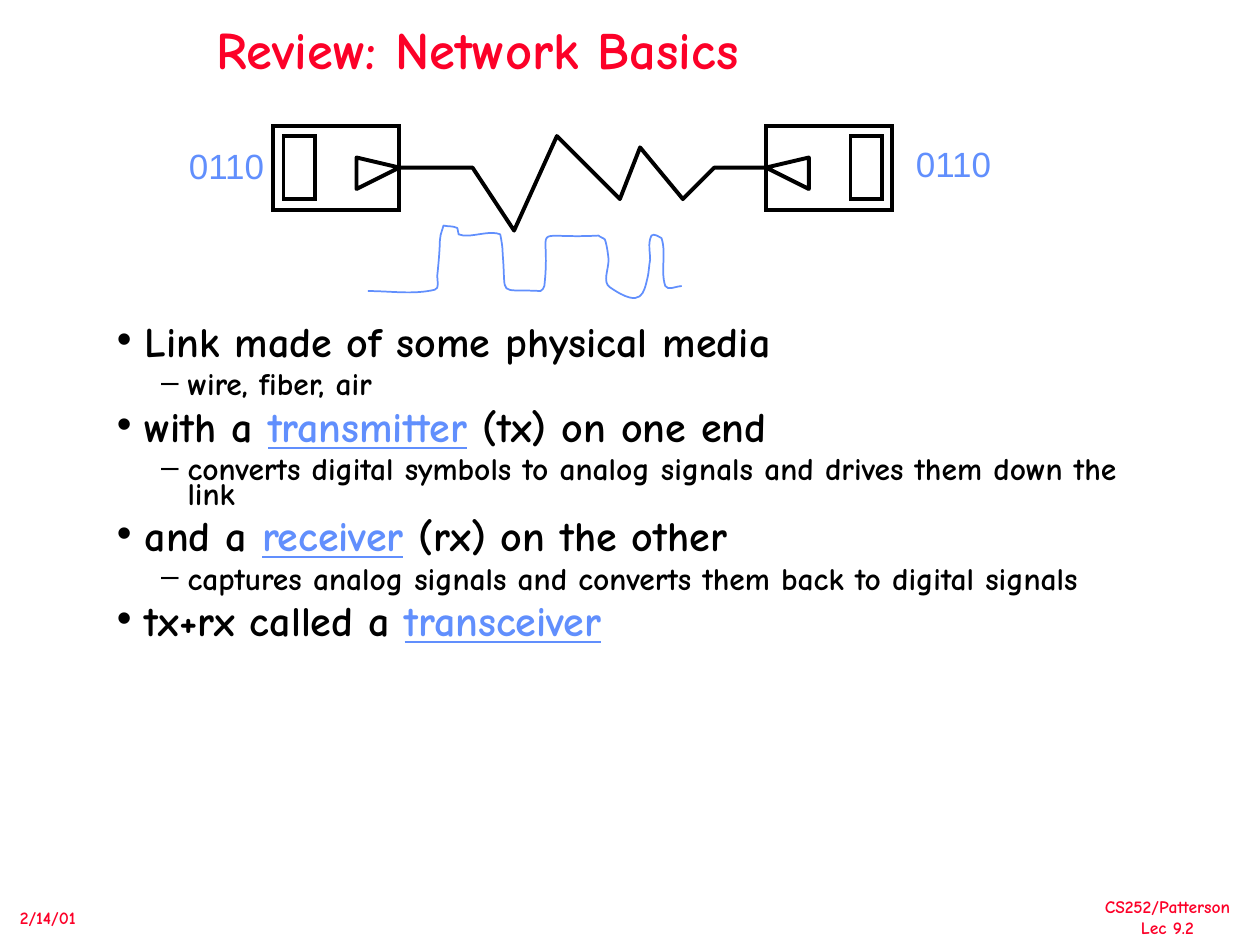
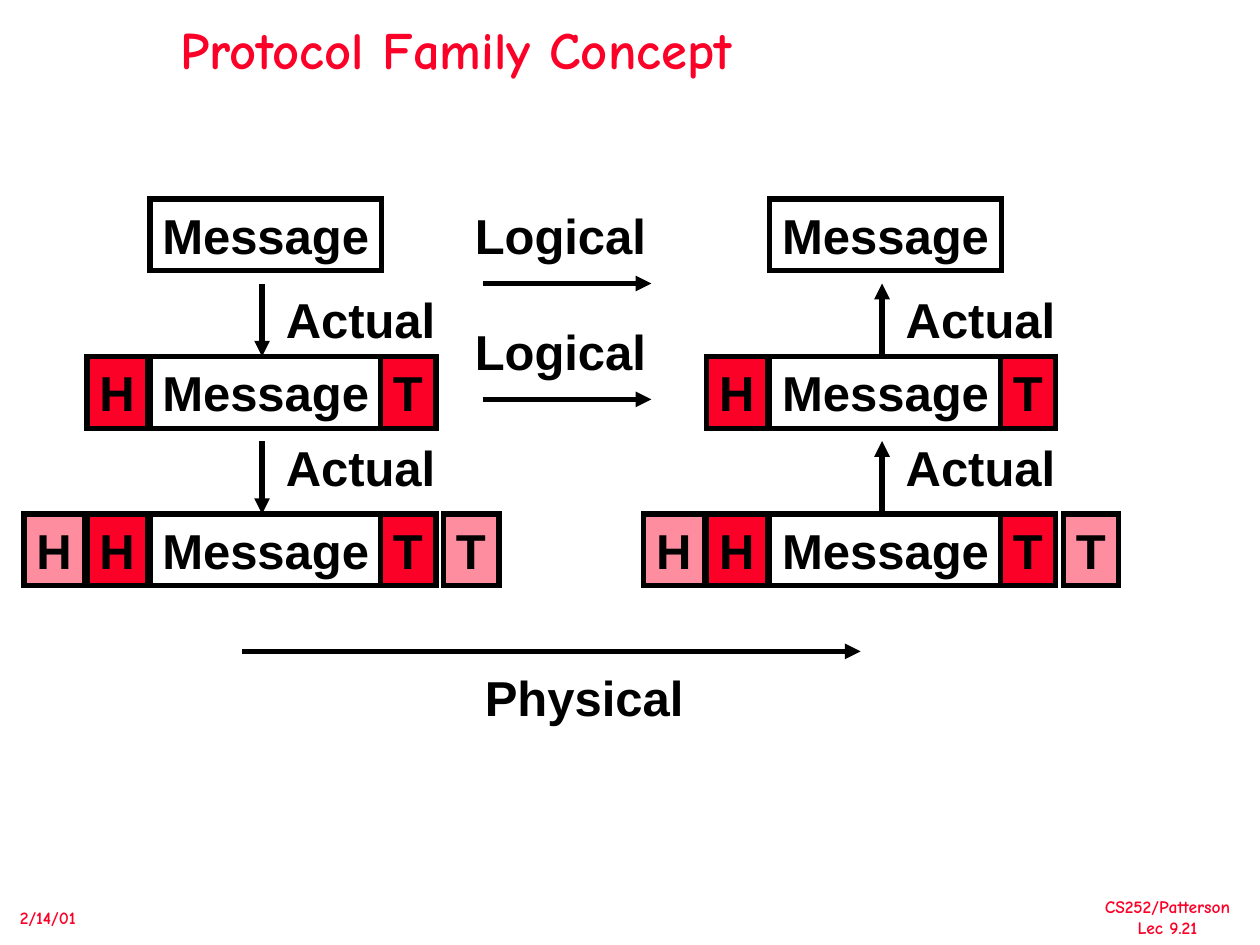
from dataclasses import dataclass
from typing import NamedTuple

from lxml import etree
from pptx import Presentation
from pptx import util as u
from pptx.dml.color import RGBColor
from pptx.enum import shapes, text
from pptx.oxml import ns

PX = 9144


@dataclass(frozen=True)
class Theme:
    red: str = "FC0128"
    pink: str = "FF8DA0"
    blue: str = "618FFD"
    black: str = "000000"
    comic: str = "Comic Neue"
    arial: str = "Arial"
    title: int = 30
    label: int = 28
    point: int = 24
    bits: int = 20
    detail: int = 18
    foot: int = 10
    thin: float = 1
    wire: float = 2.25
    thick: float = 3


T = Theme()


class Box(NamedTuple):
    x: int
    y: int
    w: int
    h: int


class Arrow(NamedTuple):
    x1: int
    y1: int
    x2: int
    y2: int


class Label(NamedTuple):
    words: str
    box: Box


class Bullet(NamedTuple):
    mark: str
    left: int
    hang: int
    size: int
    gap: float


MAJOR = Bullet("•", 22, 22, T.point, 9)
MINOR = Bullet("–", 56, 21, T.detail, 6.8)

POINTS = (
    (MAJOR, "Link made of some physical media"),
    (MINOR, "wire, fiber, air"),
    (MAJOR, "with a |transmitter| (tx) on one end"),
    (MINOR, "converts digital symbols to analog signals and drives them down the link"),
    (MAJOR, "and a |receiver| (rx) on the other"),
    (MINOR, "captures analog signals and converts them back to digital signals"),
    (MAJOR, "tx+rx called a |transceiver|"),
)

LINK = (
    (317, 133), (375, 133), (408, 183), (442, 108), (492, 158),
    (508, 117), (542, 158), (567, 133), (608, 133),
)

SIGNAL = (
    (292, 231),
    (310, 231), (328, 234), (345, 230), (349, 229), (347, 223), (347, 219),
    (351, 181), (347, 195), (352, 179), (355, 180), (359, 179), (363, 181),
    (364, 182), (363, 185), (364, 186), (366, 187), (369, 187), (371, 187),
    (378, 187), (390, 183), (397, 186), (398, 191), (399, 196), (399, 202),
    (402, 237), (394, 229), (429, 231), (430, 230), (432, 229), (432, 227),
    (438, 175), (417, 190), (475, 187), (476, 188), (479, 189), (480, 190),
    (482, 195), (483, 206), (483, 206), (483, 214), (478, 224), (484, 228),
    (510, 246), (511, 232), (514, 220), (515, 216), (515, 211), (516, 206),
    (516, 200), (514, 193), (517, 187), (519, 185), (523, 188), (525, 189),
    (529, 201), (524, 215), (528, 227), (530, 231), (537, 227), (541, 227),
)

MIRROR = 925
SHIFT = 492


def emu(*vals: int) -> list[int]:
    return [v * PX for v in vals]


def rgb(code: str) -> RGBColor:
    return RGBColor.from_string(code)


def write(para, words: str, *, size: int, font: str = T.arial,
          color: str = T.black, bold: bool = True, center: bool = False,
          space: float | None = None, gap: float = 0) -> None:
    for i, part in enumerate(words.split("|")):
        if not part:
            continue
        run = para.add_run()
        run.text = part
        run.font.size = u.Pt(size)
        run.font.name = font
        run.font.bold = bold
        run.font.underline = bool(i % 2)
        run.font.color.rgb = rgb(T.blue if i % 2 else color)
    para.alignment = text.PP_ALIGN.CENTER if center else text.PP_ALIGN.LEFT
    if space:
        para.line_spacing = space
    para.space_before = u.Pt(gap)


def fill(frame, words: str, wrap: bool = False, **form) -> None:
    frame.word_wrap = wrap
    frame.auto_size = (text.MSO_AUTO_SIZE.NONE if wrap
                       else text.MSO_AUTO_SIZE.SHAPE_TO_FIT_TEXT)
    frame.vertical_anchor = (text.MSO_ANCHOR.MIDDLE if wrap
                             else text.MSO_ANCHOR.TOP)
    for i, line in enumerate(words.split("\n")):
        para = frame.add_paragraph() if i else frame.paragraphs[0]
        write(para, line, **form)


def place(slide, words: str, box: Box, **form) -> None:
    fill(slide.shapes.add_textbox(*emu(*box)).text_frame, words, **form)


def paint(shape, tint: str | None, color: str, width: float) -> None:
    shape.shadow.inherit = False
    if tint:
        shape.fill.solid()
        shape.fill.fore_color.rgb = rgb(tint)
    else:
        shape.fill.background()
    shape.line.color.rgb = rgb(color)
    shape.line.width = u.Pt(width)


def rect(slide, box: Box, tint: str | None = None, width: float = T.wire):
    shape = slide.shapes.add_shape(shapes.MSO_SHAPE.RECTANGLE, *emu(*box))
    paint(shape, tint, T.black, width)
    join = etree.SubElement(shape.line._get_or_add_ln(), ns.qn("a:miter"))
    join.set("lim", "800000")
    return shape


def trace(slide, dots, close: bool = False, color: str = T.black,
          width: float = T.wire):
    first, *rest = [emu(*dot) for dot in dots]
    form = slide.shapes.build_freeform(*first)
    form.add_line_segments(rest, close=close)
    shape = form.convert_to_shape()
    paint(shape, None, color, width)
    return shape


def bend(shape) -> None:
    legs = list(shape._element.iter(ns.qn("a:lnTo")))
    for trio in zip(legs[::3], legs[1::3], legs[2::3]):
        arc = etree.Element(ns.qn("a:cubicBezTo"))
        trio[0].addprevious(arc)
        for leg in trio:
            arc.append(leg[0])
            leg.getparent().remove(leg)


def draw(slide, arrow: Arrow) -> None:
    line = slide.shapes.add_connector(
        shapes.MSO_CONNECTOR.STRAIGHT, *emu(*arrow))
    line.line.color.rgb = rgb(T.black)
    line.line.width = u.Pt(T.thick)
    tip = etree.SubElement(line.line._get_or_add_ln(), ns.qn("a:tailEnd"))
    tip.set("type", "triangle")
    etree.SubElement(line._element.spPr, ns.qn("a:effectLst"))


def start(deck, title: str, wide: int, page: str):
    slide = deck.slides.add_slide(deck.slide_layouts[6])
    foot = dict(size=T.foot, font=T.comic, color=T.red)
    place(slide, f"CS252/Patterson\nLec {page}", Box(866, 706, 121, 43),
          center=True, **foot)
    place(slide, "2/14/01", Box(6, 715, 65, 27), **foot)
    place(slide, title, Box(83, 16, wide, 52), wrap=True, size=T.title,
          font=T.comic, color=T.red, center=True, space=0.9)
    return slide


def mark(para, kind: Bullet) -> None:
    props = para._p.get_or_add_pPr()
    left, hang = emu(kind.left, kind.hang)
    props.set("marL", str(left))
    props.set("indent", str(-hang))
    tint = etree.SubElement(props, ns.qn("a:buClr"))
    etree.SubElement(tint, ns.qn("a:srgbClr")).set("val", T.black)
    etree.SubElement(props, ns.qn("a:buFont")).set("typeface", T.arial)
    etree.SubElement(props, ns.qn("a:buChar")).set("char", kind.mark)


def node(slide, flip: bool) -> None:
    def turn(x: int, wide: int = 0) -> int:
        return MIRROR - x - wide if flip else x

    rect(slide, Box(turn(217, 100), 100, 100, 67))
    trace(slide, [(turn(x), y) for x, y in ((283, 150), (283, 125), (317, 133))],
          close=True)
    rect(slide, Box(turn(225, 25), 108, 25, 50))


def basics(deck) -> None:
    slide = start(deck, "Review: Network Basics", 592, "9.2")
    frame = slide.shapes.add_textbox(*emu(83, 258, 858, 457)).text_frame
    frame.word_wrap = True
    for i, (kind, words) in enumerate(POINTS):
        para = frame.add_paragraph() if i else frame.paragraphs[0]
        para.level = int(kind is MINOR)
        mark(para, kind)
        write(para, words, size=kind.size, font=T.comic, space=0.65,
              gap=kind.gap if i else 0)
    node(slide, False)
    trace(slide, LINK)
    node(slide, True)
    bend(trace(slide, SIGNAL, color=T.blue, width=T.thin))
    for x, y in ((140, 110), (717, 108)):
        place(slide, "0110", Box(x, y, 82, 44), size=T.bits, color=T.blue,
              bold=False)


def cell(slide, words: str, box: Box, tint: str | None = None) -> None:
    fill(rect(slide, box, tint, T.thick).text_frame, words, size=T.label)


def stack(slide, dx: int, rise: bool) -> None:
    for row in range(3):
        top = 158 + 125 * row
        cell(slide, "Message", Box(dx + 119, top, 184, 57))
        for n, tint in enumerate((T.red, T.pink)[:row]):
            cell(slide, "T", Box(dx + 302 + 50 * n, top, 44, 57), tint)
            cell(slide, "H", Box(dx + 69 - 50 * n, top, 48, 57), tint)
    for top, high in ((225, 225), (350, 342)):
        ends = (top + 58, top) if rise else (top, top + 58)
        draw(slide, Arrow(dx + 208, ends[0], dx + 208, ends[1]))
        place(slide, "Actual", Box(dx + 217, high, 140, 57), size=T.label)


def family(deck) -> None:
    slide = start(deck, "Protocol Family Concept", 558, "9.21")
    stack(slide, 0, False)
    stack(slide, SHIFT, True)
    flows = (
        (Arrow(383, 225, 517, 225), Label("Logical", Box(367, 158, 157, 57))),
        (Arrow(383, 317, 517, 317), Label("Logical", Box(367, 250, 157, 57))),
        (Arrow(192, 517, 683, 517), Label("Physical", Box(375, 525, 179, 57))),
    )
    for arrow, label in flows:
        draw(slide, arrow)
        place(slide, label.words, label.box, size=T.label)


def main() -> None:
    deck = Presentation()
    deck.slide_width, deck.slide_height = emu(1000, 750)
    basics(deck)
    family(deck)
    deck.save("out.pptx")


if __name__ == "__main__":
    main()
